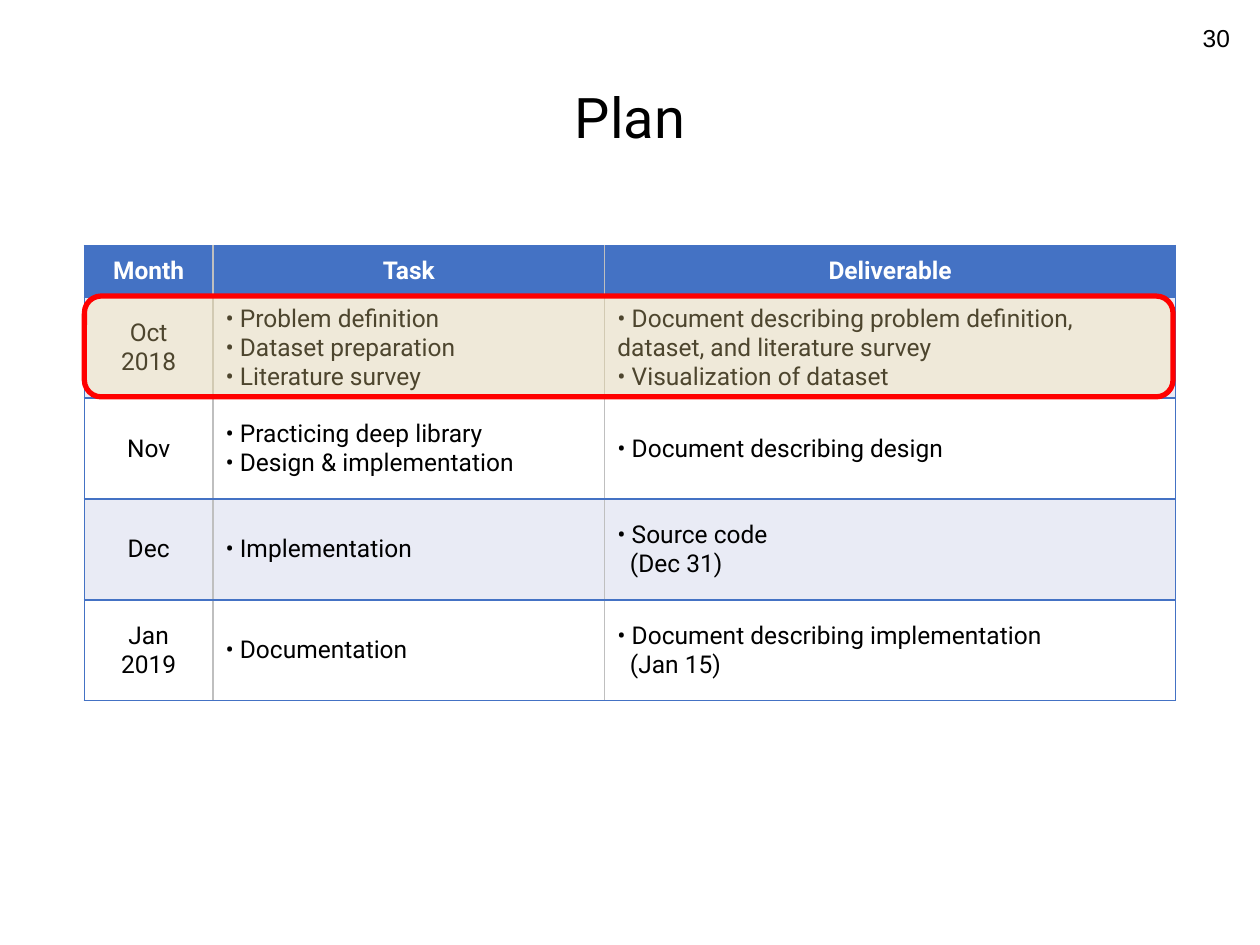
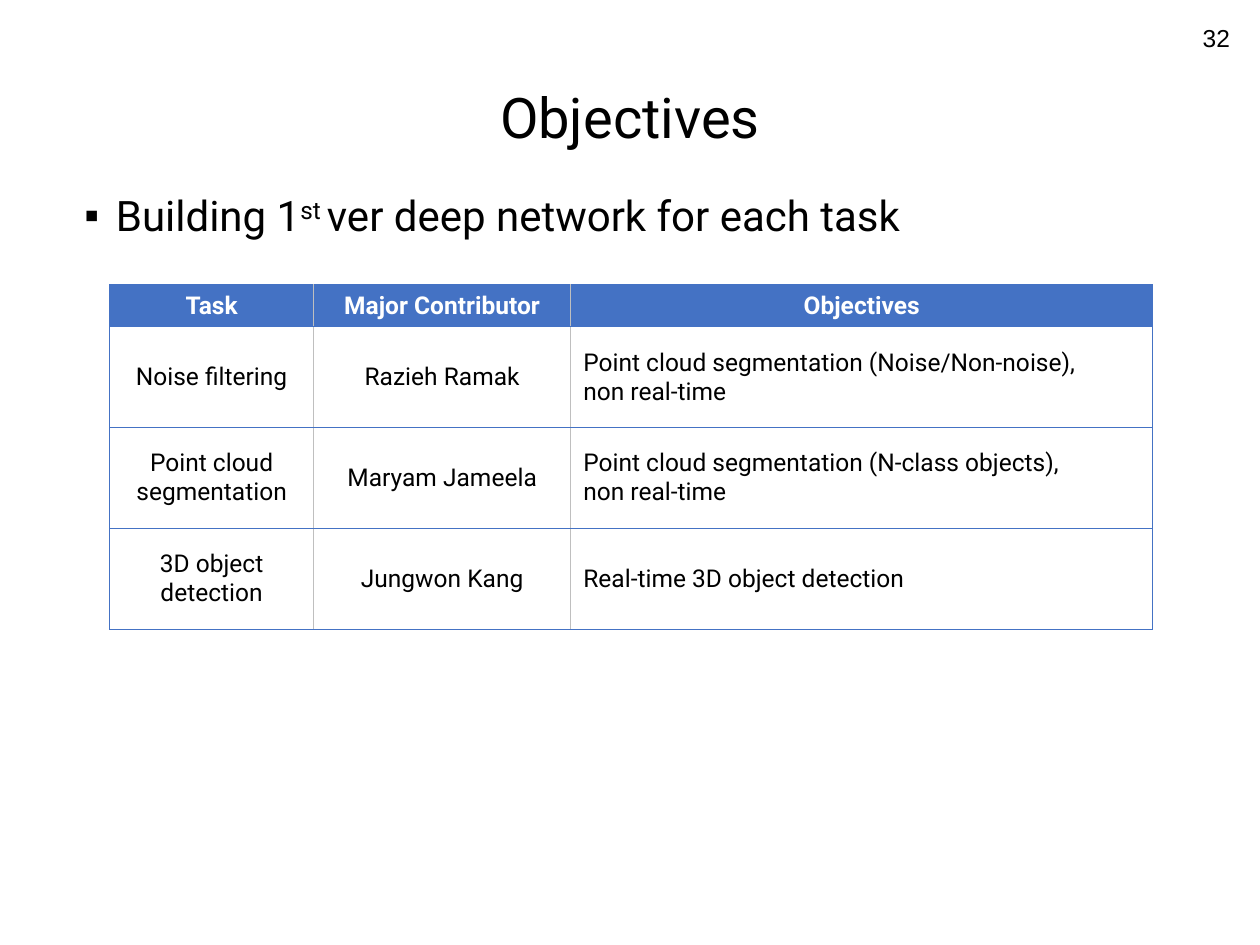
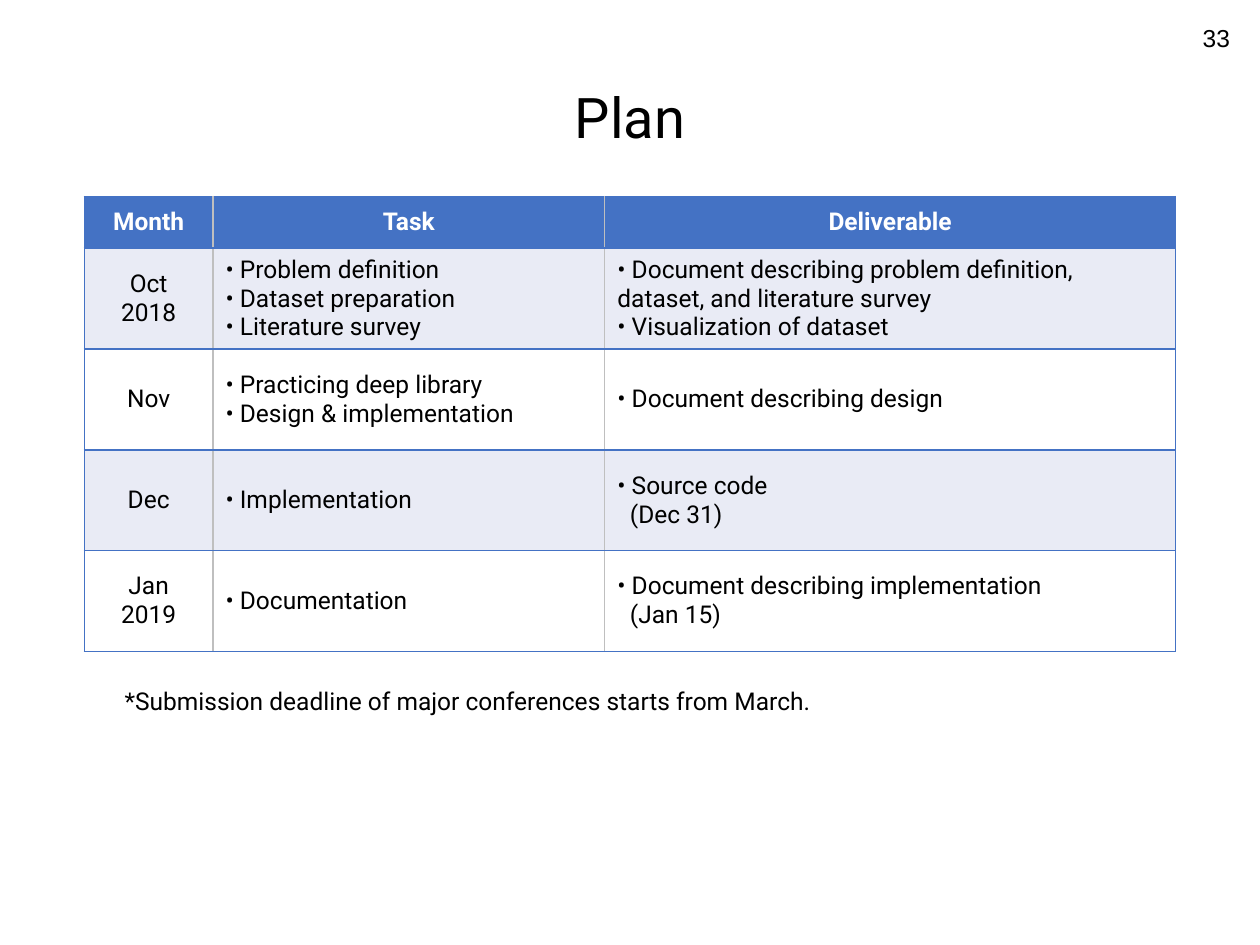
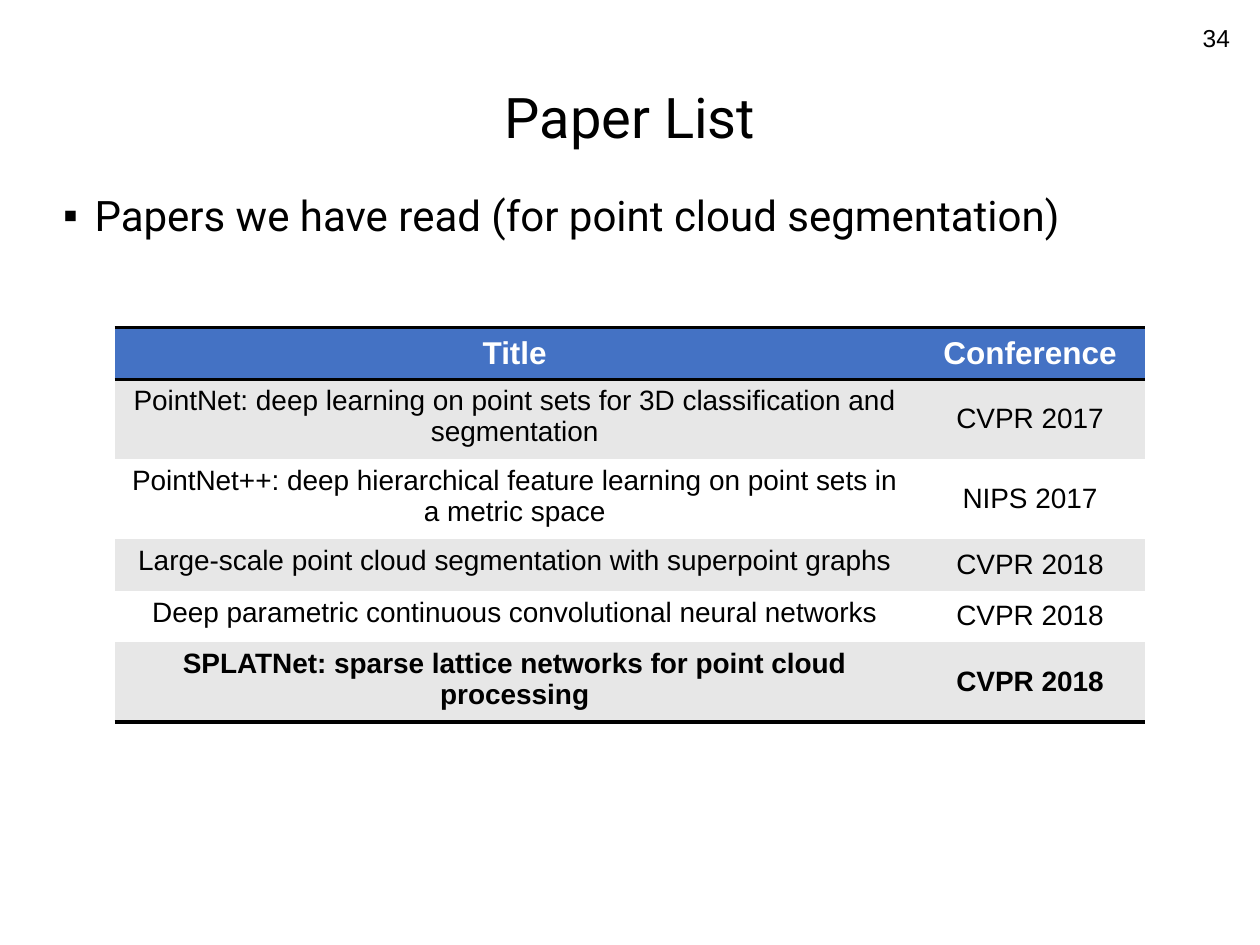
"""Build four project slides: plan, objectives, plan with deadline note, paper list."""
import lxml.etree
import pptx
import pptx.dml.color
import pptx.enum.shapes
import pptx.enum.text
import pptx.oxml.ns
import pptx.util

Inches = pptx.util.Inches
Align = pptx.enum.text.PP_ALIGN
Anchor = pptx.enum.text.MSO_ANCHOR
qualified = pptx.oxml.ns.qn

COLORS = {
    "text": "000000",
    "header_text": "FFFFFF",
    "header": "4472C4",
    "plain": "FFFFFF",
    "band": "E9EBF5",
    "gray_band": "E7E7E7",
    "grid": "BFBFBF",
    "mark": "FF0000",
    "mark_fill": "FFE699",
}
HEADING_FONT = "Roboto"
PLAIN_FONT = "Arial"
TITLE_ONLY, TITLE_AND_BODY = 5, 1

PLAN_ROWS = [
    ["Month", "Task", "Deliverable"],
    ["Oct\n2018",
     "• Problem definition\n• Dataset preparation\n• Literature survey",
     "• Document describing problem definition, dataset, and literature survey\n"
     "• Visualization of dataset"],
    ["Nov", "• Practicing deep library\n• Design & implementation",
     "• Document describing design"],
    ["Dec", "• Implementation", "• Source code\n(Dec 31)"],
    ["Jan\n2019", "• Documentation",
     "• Document describing implementation\n(Jan 15)"],
]
OBJECTIVE_ROWS = [
    ["Task", "Major Contributor", "Objectives"],
    ["Noise filtering", "Razieh Ramak",
     "Point cloud segmentation (Noise/Non-noise),\nnon real-time"],
    ["Point cloud\nsegmentation", "Maryam Jameela",
     "Point cloud segmentation (N-class objects),\nnon real-time"],
    ["3D object\ndetection", "Jungwon Kang", "Real-time 3D object detection"],
]
PAPER_ROWS = [
    ["Title", "Conference"],
    ["PointNet: deep learning on point sets for 3D classification and segmentation",
     "CVPR 2017"],
    ["PointNet++: deep hierarchical feature learning on point sets in a metric space",
     "NIPS 2017"],
    ["Large-scale point cloud segmentation with superpoint graphs", "CVPR 2018"],
    ["Deep parametric continuous convolutional neural networks", "CVPR 2018"],
    ["SPLATNet: sparse lattice networks for point cloud processing", "CVPR 2018"],
]


def color(name):
    return pptx.dml.color.RGBColor.from_string(COLORS[name])


def write(paragraph, text, font=HEADING_FONT, size=14, fill="text", bold=False,
          align=Align.LEFT, baseline=0):
    paragraph.alignment = align
    run = paragraph.add_run()
    run.text = text
    run.font.name = font
    run.font.size = pptx.util.Pt(size)
    run.font.bold = bold
    run.font.color.rgb = color(fill)
    if baseline:
        run.font._element.set("baseline", str(baseline * 1000))


def place(shape, left, top, width, height):
    shape.left, shape.top = Inches(left), Inches(top)
    shape.width, shape.height = Inches(width), Inches(height)


def add_text(slide, text, left, top, width, height, **text_format):
    box = slide.shapes.add_textbox(
        Inches(left), Inches(top), Inches(width), Inches(height))
    box.text_frame.word_wrap = True
    box.text_frame.vertical_anchor = Anchor.MIDDLE
    write(box.text_frame.paragraphs[0], text, **text_format)


def add_slide(presentation, title, number, layout, title_left=0.69):
    slide = presentation.slides.add_slide(presentation.slide_layouts[layout])
    place(slide.shapes.title, title_left, 0.62, 10 - 2 * title_left, 0.67)
    frame = slide.shapes.title.text_frame
    frame.auto_size = pptx.enum.text.MSO_AUTO_SIZE.NONE
    frame.vertical_anchor = Anchor.MIDDLE
    frame.paragraphs[0].line_spacing = 0.9
    write(frame.paragraphs[0], title, size=32, align=Align.CENTER)
    add_text(slide, str(number), 7.61, 0.1, 2.25, 0.4,
             font=PLAIN_FONT, align=Align.RIGHT)
    return slide


def add_bullet(slide, runs, left):
    body = slide.placeholders[1]
    place(body, left, 1.5, 10 - 2 * left, 1.18)
    body.text_frame.auto_size = pptx.enum.text.MSO_AUTO_SIZE.NONE
    paragraph = body.text_frame.paragraphs[0]
    properties = paragraph._p.get_or_add_pPr()
    properties.set("marL", str(Inches(0.25)))
    properties.set("indent", str(-Inches(0.25)))
    lxml.etree.SubElement(properties, qualified("a:buChar"), char="▪")
    paragraph.line_spacing = 0.9
    paragraph.space_before = pptx.util.Pt(0)
    for text, baseline in runs:
        write(paragraph, text, size=24, baseline=baseline)


def set_borders(cell, **edges):
    """Draw the L, R, T and B edges, each a (colour, points) pair or None."""
    properties = cell._tc.get_or_add_tcPr()
    for side in "LRTB":
        line = lxml.etree.SubElement(properties, qualified(f"a:ln{side}"))
        if edges[side] is None:
            lxml.etree.SubElement(line, qualified("a:noFill"))
            continue
        name, points = edges[side]
        line.set("w", str(pptx.util.Pt(points)))
        fill = lxml.etree.SubElement(line, qualified("a:solidFill"))
        lxml.etree.SubElement(fill, qualified("a:srgbClr"), val=COLORS[name])


def fill_cell(cell, text, background, anchor, **text_format):
    cell.fill.solid()
    cell.fill.fore_color.rgb = color(background)
    cell.vertical_anchor = anchor
    for index, line in enumerate(text.split("\n")):
        frame = cell.text_frame
        paragraph = frame.add_paragraph() if index else frame.paragraphs[0]
        if line.startswith("("):
            paragraph._p.get_or_add_pPr().set("marL", str(Inches(0.1)))
        write(paragraph, line, **text_format)


def add_table(slide, rows, left, top, widths, heights, horizontal, vertical, bands,
              aligns, anchors, font=HEADING_FONT, header_size=14, size=14,
              bold_rows=()):
    """Add a table whose edges come from one list per direction."""
    table = slide.shapes.add_table(
        len(rows), len(widths), Inches(left), Inches(top),
        Inches(sum(widths)), Inches(sum(heights))).table
    table.first_row = table.horz_banding = False
    for column, width in zip(table.columns, widths):
        column.width = Inches(width)
    for row, height in zip(table.rows, heights):
        row.height = Inches(height)
    for r, values in enumerate(rows):
        for c, value in enumerate(values):
            cell = table.cell(r, c)
            set_borders(cell, L=vertical[c], R=vertical[c + 1],
                        T=horizontal[r], B=horizontal[r + 1])
            if r == 0:
                fill_cell(cell, value, "header", Anchor.MIDDLE, font=font,
                          size=header_size, fill="header_text", bold=True,
                          align=Align.CENTER)
            else:
                fill_cell(cell, value, bands[(r - 1) % 2], anchors[c], font=font,
                          size=size, bold=r in bold_rows, align=aligns[c])


def add_grid_table(slide, rows, left, top, widths, header_height, outline, bands,
                   aligns):
    """Add a table with blue rules across and gray rules between columns."""
    edge, inner = ("header", outline), ("grid", 1)
    add_table(slide, rows, left, top, widths,
              [header_height] + [0.8] * (len(rows) - 1),
              horizontal=[edge] * (len(rows) + 1),
              vertical=[edge] + [inner] * (len(widths) - 1) + [edge],
              bands=bands, aligns=aligns, anchors=[Anchor.MIDDLE] * len(widths))


def add_plan_table(slide, top):
    add_grid_table(slide, PLAN_ROWS, 0.67, top, [1.02, 3.11, 4.53], 0.41, 1,
                   ["band", "plain"], [Align.CENTER, Align.LEFT, Align.LEFT])


def add_paper_table(slide):
    rule = ("text", 2)
    add_table(slide, PAPER_ROWS, 0.91, 2.6, [6.35, 1.83],
              [0.41, 0.55, 0.55, 0.41, 0.41, 0.55],
              horizontal=[rule, rule, None, None, None, None, rule],
              vertical=[None] * 3, bands=["gray_band", "plain"],
              aligns=[Align.CENTER] * 2, anchors=[Anchor.TOP, Anchor.MIDDLE],
              font=PLAIN_FONT, header_size=18, size=16,
              bold_rows=[len(PAPER_ROWS) - 1])


def add_row_mark(slide, left, top, width, height):
    mark = slide.shapes.add_shape(
        pptx.enum.shapes.MSO_SHAPE.ROUNDED_RECTANGLE,
        Inches(left), Inches(top), Inches(width), Inches(height))
    mark.shadow.inherit = False
    mark.fill.solid()
    mark.fill.fore_color.rgb = color("mark_fill")
    tint = mark._element.spPr.find(
        f"{qualified('a:solidFill')}/{qualified('a:srgbClr')}")
    lxml.etree.SubElement(tint, qualified("a:alpha"), val="30000")
    mark.line.color.rgb = color("mark")
    mark.line.width = pptx.util.Pt(3)


def main():
    presentation = pptx.Presentation()
    presentation.slide_width, presentation.slide_height = Inches(10), Inches(7.5)

    slide = add_slide(presentation, "Plan", 30, TITLE_ONLY)
    add_plan_table(slide, 1.95)
    add_row_mark(slide, 0.67, 2.35, 8.64, 0.8)

    slide = add_slide(presentation, "Objectives", 32, TITLE_AND_BODY)
    add_bullet(slide, [("Building 1", 0), ("st ", 30),
                       ("ver deep network for each task", 0)], 0.57)
    add_grid_table(slide, OBJECTIVE_ROWS, 0.87, 2.26, [1.62, 2.04, 4.62], 0.33, 0.5,
                   ["plain", "plain"], [Align.CENTER, Align.CENTER, Align.LEFT])

    slide = add_slide(presentation, "Plan", 33, TITLE_ONLY)
    add_plan_table(slide, 1.56)
    add_text(slide, "*Submission deadline of major conferences starts from March.",
             0.89, 5.35, 8.44, 0.42)

    slide = add_slide(presentation, "Paper List", 34, TITLE_AND_BODY, title_left=0)
    add_bullet(slide, [("Papers we have read (for point cloud segmentation)", 0)], 0.4)
    add_paper_table(slide)

    presentation.save("out.pptx")


if __name__ == "__main__":
    main()
